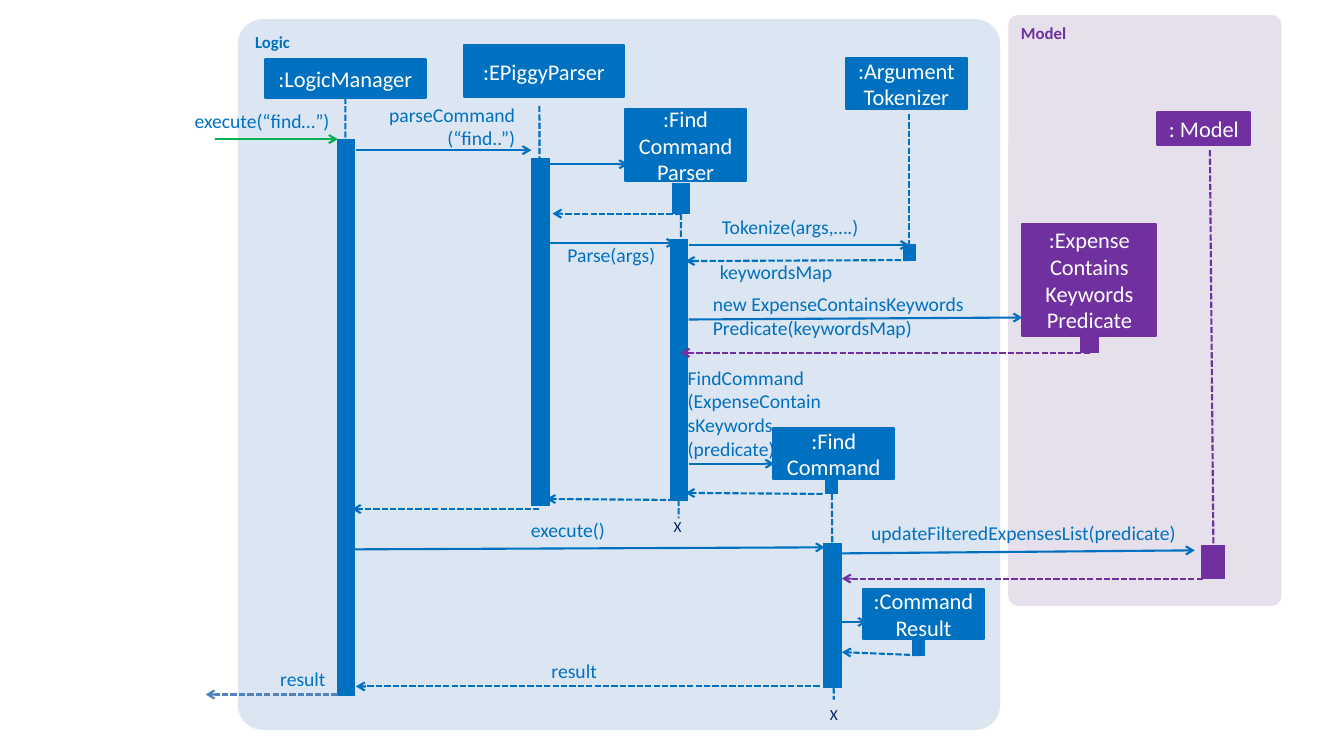
from pptx import Presentation
from pptx.dml.color import RGBColor
from pptx.enum.dml import MSO_LINE
from pptx.enum.shapes import MSO_CONNECTOR, MSO_SHAPE
from pptx.enum.text import MSO_ANCHOR, PP_ALIGN
from pptx.oxml.ns import qn
from pptx.util import Pt
from lxml import etree

RECT, ROUND = MSO_SHAPE.RECTANGLE, MSO_SHAPE.ROUNDED_RECTANGLE
LINE, DASH = MSO_CONNECTOR.STRAIGHT, MSO_LINE.SQUARE_DOT
TOP, MID = MSO_ANCHOR.TOP, MSO_ANCHOR.MIDDLE
LEFT, RIGHT, CENTER = PP_ALIGN.LEFT, PP_ALIGN.RIGHT, PP_ALIGN.CENTER

BLUE = RGBColor(0x00, 0x70, 0xC0)
PURPLE = RGBColor(0x70, 0x30, 0xA0)
GREEN = RGBColor(0x00, 0xB0, 0x50)
STEEL = RGBColor(0x4F, 0x81, 0xBD)
NAVY = RGBColor(0x00, 0x20, 0x60)
WHITE = RGBColor(0xFF, 0xFF, 0xFF)
PALE = RGBColor(0xDC, 0xE6, 0xF2)
LILAC = RGBColor(0xE6, 0xE0, 0xEC)

PX = 9144
FONT = "Calibri"
ABOVE, BELOW = 0, 2

PANELS = [
    ("Model", (1000, 15, 271, 586), LILAC, PURPLE),
    ("Logic", (236, 19, 756, 705), PALE, BLUE),
]

BOXES = {
    "manager": (":LogicManager", (263, 59, 159, 38), BLUE),
    "epiggy": (":EPiggyParser", (460, 45, 159, 51), BLUE),
    "parser": (":Find\vCommand\vParser", (620, 108, 120, 72), BLUE),
    "token": (":Argument\nTokenizer", (839, 58, 120, 50), BLUE),
    "find": (":Find\vCommand", (767, 425, 120, 50), BLUE),
    "result": (":Command\nResult", (856, 584, 120, 50), BLUE),
    "model": (": Model", (1148, 111, 92, 33), PURPLE),
    "predicate": (":Expense\nContains\nKeywords\nPredicate", (1014, 222, 133, 111), PURPLE),
}

BARS = {
    "manager bar": ((335, 138, 17, 552), BLUE),
    "epiggy bar": ((527, 157, 18, 345), BLUE),
    "new parser bar": ((667, 182, 17, 30), BLUE),
    "parser bar": ((665, 238, 17, 259), BLUE),
    "token bar": ((896, 243, 12, 15), BLUE),
    "new find bar": ((819, 475, 12, 15), BLUE),
    "find bar": ((817, 539, 18, 143), BLUE),
    "result bar": ((905, 635, 12, 15), BLUE),
    "model bar": ((1192, 541, 23, 33), PURPLE),
    "predicate bar": ((1072, 326, 18, 24), PURPLE),
}

LIVES = [
    (("manager", BELOW), (343, 480), BLUE),
    ((535, 105), ("epiggy bar", BELOW), BLUE),
    (("new parser bar", BELOW), (673, 514), BLUE),
    ((902, 113), ("token bar", BELOW), BLUE),
    (("new find bar", BELOW), (827, 694), BLUE),
    ((1200, 149), ("model bar", ABOVE), PURPLE),
]

CALLS = [
    ((213, 138), (335, 138), GREEN),
    ((353, 149), (527, 149), BLUE),
    ((543, 163), (623, 163), BLUE),
    ((537, 241), (670, 241), BLUE),
    ((683, 243), ("token bar", ABOVE), BLUE),
    ((683, 317), (1014, 315), BLUE),
    ((683, 460), (768, 460), BLUE),
    ((348, 545), (818, 543), BLUE),
    ((835, 549), (1185, 546), BLUE),
    ((835, 617), (860, 617), BLUE),
]

RETURNS = [
    (("new parser bar", BELOW), (548, 212), BLUE),
    (("token bar", BELOW), (680, 259), BLUE),
    (("predicate bar", BELOW), (675, 350), PURPLE),
    ((816, 490), (680, 489), BLUE),
    ((669, 496), (542, 495), BLUE),
    ((535, 505), (349, 505), BLUE),
    ((1193, 574), (835, 574), PURPLE),
    (("result bar", BELOW), (835, 647), BLUE),
    ((813, 681), (353, 681), BLUE),
    ((335, 689), (204, 689), STEEL),
]

LABELS = [
    ("execute(“find…”)", (171, 108, 156, 24), RIGHT),
    ("parseCommand\n(“find..”)", (383, 102, 128, 47), RIGHT),
    ("Parse(args)", (518, 241, 132, 24), RIGHT),
    ("Tokenize(args,….)", (716, 213, 148, 24), LEFT),
    ("keywordsMap", (714, 258, 128, 24), LEFT),
    ("new ExpenseContainsKeywords\nPredicate(keywordsMap)", (707, 290, 294, 47), LEFT),
    ("FindCommand\n(ExpenseContainsKeywords\n(predicate)", (682, 363, 136, 94), LEFT),
    ("execute()", (506, 514, 94, 24), RIGHT),
    ("updateFilteredExpensesList(predicate)", (864, 517, 311, 24), LEFT),
    ("result", (524, 654, 68, 24), RIGHT),
    ("result", (240, 662, 83, 24), RIGHT),
]

ENDS = [(658, 513, 28, 19), (813, 699, 28, 19)]


def scale(nums):
    return [n * PX for n in nums]


def write(shape, text, size, color, align, anchor, bold=False):
    frame = shape.text_frame
    frame.text = text
    frame.word_wrap = True
    frame.vertical_anchor = anchor
    style = {"name": FONT, "size": Pt(size), "bold": bold}
    for para in frame.paragraphs:
        para.alignment = align
        for run in para.runs:
            for key, value in style.items():
                setattr(run.font, key, value)
            run.font.color.rgb = color


def block(kind, rect, fill, width=0):
    shape = slide.shapes.add_shape(kind, *scale(rect))
    shape.shadow.inherit = False
    shape.fill.solid()
    shape.fill.fore_color.rgb = fill
    if width:
        shape.line.color.rgb = fill
        shape.line.width = Pt(width)
    else:
        shape.line.fill.background()
    return shape


def label(text, rect, size, color, align):
    shape = slide.shapes.add_textbox(*scale(rect))
    for side in ("left", "top", "right", "bottom"):
        setattr(shape.text_frame, "margin_" + side, 0)
    write(shape, text, size, color, align, TOP)


def link(start, stop, color, dash=False, arrow=True):
    fixed = [(0, 0) if isinstance(end[0], str) else end for end in (start, stop)]
    line = slide.shapes.add_connector(LINE, *scale(fixed[0] + fixed[1]))
    for end, join in ((start, line.begin_connect), (stop, line.end_connect)):
        if isinstance(end[0], str):
            join(parts[end[0]], end[1])
    line.line.color.rgb = color
    line.line.width = Pt(1.5)
    if dash:
        line.line.dash_style = DASH
    if arrow:
        tail = etree.SubElement(line.line._get_or_add_ln(), qn("a:tailEnd"))
        tail.set("type", "arrow")
    etree.SubElement(line._element.spPr, qn("a:effectLst"))


deck = Presentation()
deck.slide_width, deck.slide_height = scale((1333, 750))
slide = deck.slides.add_slide(deck.slide_layouts[6])
parts = {}

for text, rect, fill, color in PANELS:
    panel = block(ROUND, rect, fill)
    panel.adjustments[0] = 0.035
    write(panel, text, 12, color, LEFT, TOP, True)

for name, (rect, fill) in BARS.items():
    parts[name] = block(RECT, rect, fill, 0.75)

for name, (text, rect, fill) in BOXES.items():
    parts[name] = block(RECT, rect, fill, 1.5)
    write(parts[name], text, 16, WHITE, CENTER, MID)

for life in LIVES:
    link(*life, dash=True, arrow=False)
for call in CALLS:
    link(*call)
for back in RETURNS:
    link(*back, dash=True)

for text, rect, align in LABELS:
    label(text, rect, 14, BLUE, align)
for rect in ENDS:
    label("X", rect, 11, NAVY, CENTER)

deck.save("out.pptx")
